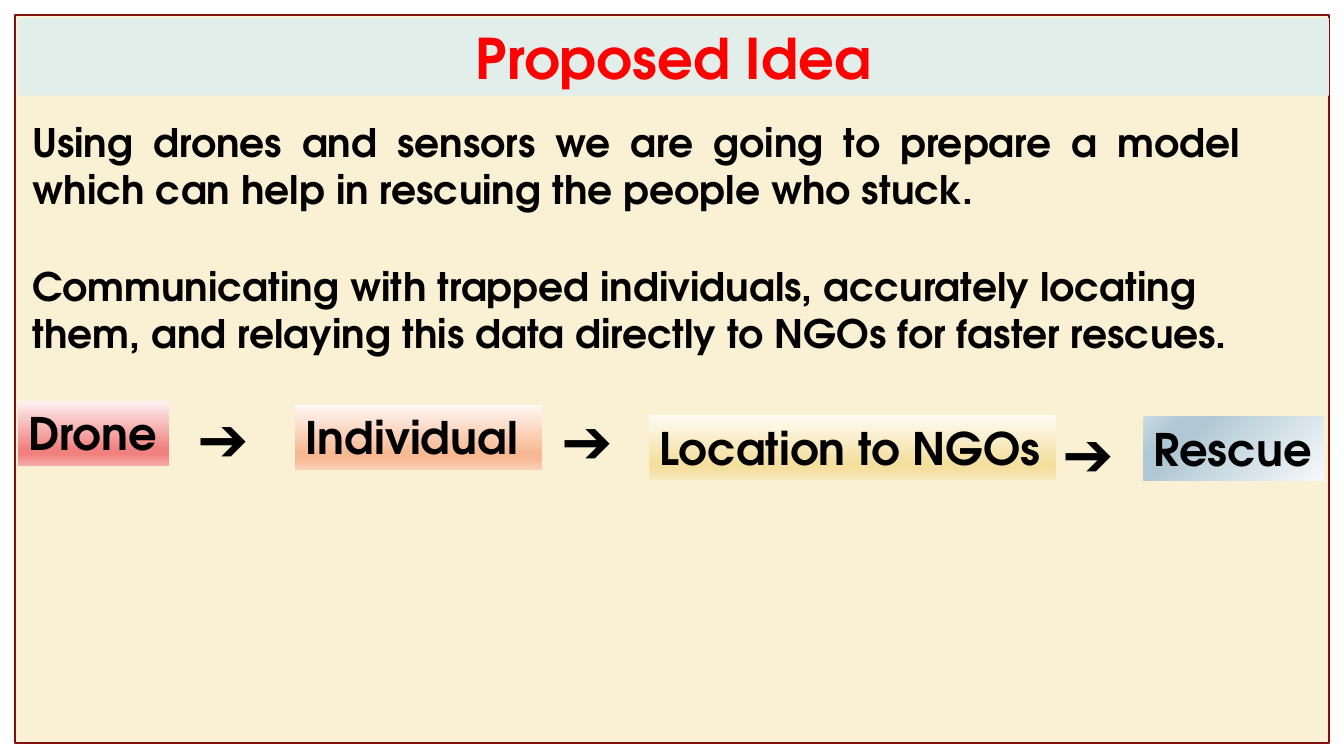
from lxml import etree
from pptx import Presentation
from pptx.dml.color import RGBColor
from pptx.enum.shapes import MSO_SHAPE
from pptx.enum.text import MSO_ANCHOR, MSO_AUTO_SIZE, PP_ALIGN
from pptx.oxml import parse_xml
from pptx.oxml.ns import nsdecls, qn
from pptx.util import Inches, Pt

RECT = MSO_SHAPE.RECTANGLE
TOP, MIDDLE = MSO_ANCHOR.TOP, MSO_ANCHOR.MIDDLE
FIT, FIXED = MSO_AUTO_SIZE.SHAPE_TO_FIT_TEXT, MSO_AUTO_SIZE.NONE
LEFT, CENTER, JUSTIFY = PP_ALIGN.LEFT, PP_ALIGN.CENTER, PP_ALIGN.JUSTIFY

FONT = "TeX Gyre Adventor"
COLORS = {
    "panel": "FAF1D4",
    "border": "82100E",
    "band": "E1EEE9",
    "title": "FF0000",
    "text": "000000",
}
STOPS = (0, 74, 83, 100)
LINEAR = '<a:lin ang="5400000" scaled="0"/>'
RADIAL = ('<a:path path="circle"><a:fillToRect l="100000" t="100000"/></a:path>'
          '<a:tileRect r="-100000" b="-100000"/>')
STEPS = [
    ("Drone", (0.18, 3.98, 1.5, 0.64), ("FDF1F1", "F1817F", "F6ABAA"), LINEAR),
    ("Individual", (2.93, 4.02, 2.45, 0.64), ("FEF7F3", "F7B993", "F9D0B7"), LINEAR),
    ("Location to NGOs", (6.44, 4.12, 4.03, 0.64), ("FEFBF4", "F4DF9F", "F8E9BF"), LINEAR),
    ("Rescue", (11.34, 4.13, 1.79, 0.64), ("F6F9FA", "B0C8D4", "CADBE2"), RADIAL),
]
ARROWS = [(1.69, 3.92), (5.3, 3.94), (10.27, 4.07)]


class SlideBuilder:
    def __init__(self, prs):
        self.slide = prs.slides.add_slide(prs.slide_layouts[3])
        self.title, self.idea, self.goal = self.slide.placeholders

    def color(self, name):
        return RGBColor.from_string(COLORS[name])

    def place(self, sp, box):
        sp.left, sp.top, sp.width, sp.height = map(Inches, box)

    def label(self, sp, text, size, align=LEFT, color="text", anchor=TOP, wrap=True, fit=FIT):
        tf = sp.text_frame
        tf.text = text
        tf.word_wrap = wrap
        tf.auto_size = fit
        tf.vertical_anchor = anchor
        p = tf.paragraphs[0]
        p.alignment = align
        p.space_before = Pt(0)
        font = p.runs[0].font
        font.name, font.size, font.bold = FONT, Pt(size), True
        font.color.rgb = self.color(color)

    def rectangle(self, box):
        sp = self.slide.shapes.add_shape(RECT, *map(Inches, box))
        sp.shadow.inherit = False
        sp.line.fill.background()
        return sp

    def frame(self, box):
        sp = self.rectangle(box)
        sp.fill.solid()
        sp.fill.fore_color.rgb = self.color("panel")
        sp.line.color.rgb = self.color("border")
        sp.line.width = Pt(1.5)
        self.title._element.addprevious(sp._element)

    def heading(self, text, box):
        self.place(self.title, box)
        self.title.fill.solid()
        self.title.fill.fore_color.rgb = self.color("band")
        self.label(self.title, text, 40, CENTER, "title", MIDDLE, fit=FIXED)

    def body(self, sp, text, box, align=LEFT):
        self.place(sp, box)
        self.label(sp, text, 28, align, fit=FIXED)
        pPr = sp.text_frame.paragraphs[0]._p.get_or_add_pPr()
        pPr.set("marL", "0")
        pPr.set("indent", "0")
        etree.SubElement(pPr, qn("a:buNone"))

    def step(self, text, box, shades, direction):
        sp = self.rectangle(box)
        light, deep, soft = shades
        stops = "".join(
            f'<a:gs pos="{pos * 1000}"><a:srgbClr val="{shade}"/></a:gs>'
            for pos, shade in zip(STOPS, (light, deep, deep, soft)))
        sp.fill.gradient()
        spPr = sp._element.spPr
        spPr.replace(spPr.find(qn("a:gradFill")), parse_xml(
            f'<a:gradFill {nsdecls("a")} rotWithShape="1">'
            f'<a:gsLst>{stops}</a:gsLst>{direction}</a:gradFill>'))
        self.label(sp, text, 32, wrap=False)

    def arrow(self, left, top):
        sp = self.slide.shapes.add_textbox(*map(Inches, (left, top, 1.26, 0.84)))
        self.label(sp, "➔", 44)
        sp.text_frame.margin_left = Inches(0.27)


def main():
    prs = Presentation()
    prs.slide_width, prs.slide_height = Inches(13.33), Inches(7.5)
    s = SlideBuilder(prs)
    s.frame((0.15, 0.15, 13.03, 7.22))
    s.heading("Proposed Idea", (0.18, 0.18, 13, 0.77))
    s.body(s.idea, "Using drones and sensors we are going to prepare a model "
           "which can help in rescuing the people who stuck.",
           (0.22, 1.12, 12.18, 1.04), JUSTIFY)
    s.body(s.goal, "Communicating with trapped individuals, accurately locating them, "
           "and relaying this data directly to NGOs for faster rescues.",
           (0.22, 2.55, 12.5, 1.04))
    for step in STEPS:
        s.step(*step)
    for left, top in ARROWS:
        s.arrow(left, top)
    prs.save("out.pptx")


if __name__ == "__main__":
    main()
